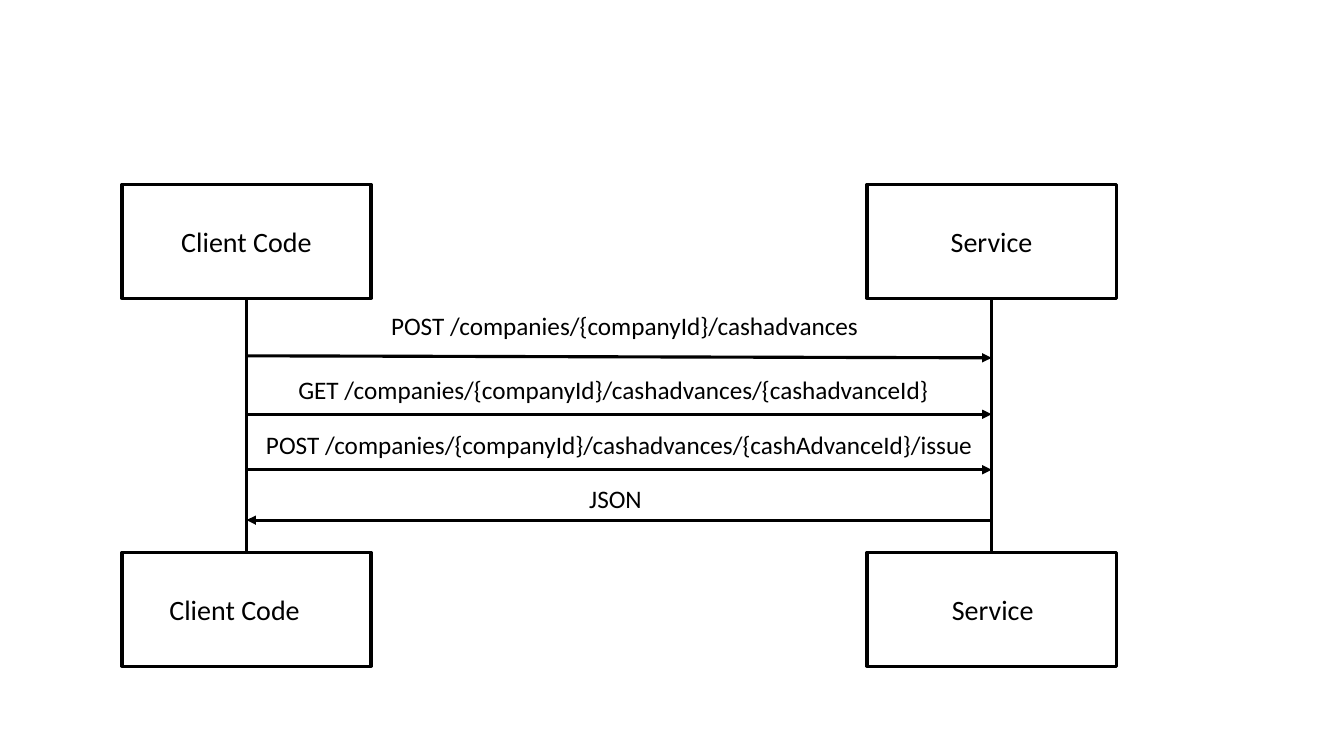
import pptx
import pptx.dml.color
import pptx.enum.shapes
import pptx.enum.text
import pptx.oxml
import pptx.util
from pptx.oxml.ns import qn

BLACK = pptx.dml.color.RGBColor(0, 0, 0)
WHITE = pptx.dml.color.RGBColor(255, 255, 255)
FONT = "Calibri"
LINE_WIDTH = 2.25
SLIDE_W, SLIDE_H = 13.33, 7.5
BOX_W, BOX_H = 2.47, 1.13
CLIENT_LEFT, SERVICE_LEFT = 1.21, 8.6
HEAD_TOP, FOOT_TOP = 1.83, 5.48
CLIENT_X, SERVICE_X = (left + BOX_W / 2 for left in (CLIENT_LEFT, SERVICE_LEFT))
LABEL_H = 0.4

CENTER = pptx.enum.text.PP_ALIGN.CENTER
LEFT = pptx.enum.text.PP_ALIGN.LEFT
MIDDLE = pptx.enum.text.MSO_ANCHOR.MIDDLE
TOP = pptx.enum.text.MSO_ANCHOR.TOP

PARTICIPANTS = [
    ("Client Code", CLIENT_LEFT, HEAD_TOP, CENTER, 0.1),
    ("Client Code", CLIENT_LEFT, FOOT_TOP, LEFT, 0.47),
    ("Service", SERVICE_LEFT, HEAD_TOP, CENTER, 0.1),
    ("Service", SERVICE_LEFT, FOOT_TOP, LEFT, 0.84),
]
CALLS = [
    ("POST /companies/{companyId}/cashadvances", 3.78, 3.03, 5.09, 3.53, 3.55),
    ("GET /companies/{companyId}/cashadvances/{cashadvanceId}", 2.86, 3.66, 6.49, 4.11, 4.11),
    ("POST /companies/{companyId}/cashadvances/{cashAdvanceId}/issue", 2.54, 4.21, 7.56, 4.66, 4.66),
]


def inches(*lengths):
    """Convert lengths to slide units."""
    return [pptx.util.Inches(length) for length in lengths]


def write(s, text, size=18, align=LEFT, anchor=TOP, inset=0.1):
    """Put formatted text into a shape."""
    tf = s.text_frame
    tf.word_wrap = True
    tf.vertical_anchor = anchor
    tf.margin_left = pptx.util.Inches(inset)
    p = tf.paragraphs[0]
    p.alignment = align
    r = p.add_run()
    r.text = text
    r.font.name = FONT
    r.font.size = pptx.util.Pt(size)
    r.font.color.rgb = BLACK


def stroke(s):
    """Give a shape or connector the diagram's line."""
    s.line.color.rgb = BLACK
    s.line.width = pptx.util.Pt(LINE_WIDTH)


def participant(slide, text, left, top, align, inset):
    """Draw one participant box."""
    kind = pptx.enum.shapes.MSO_SHAPE.RECTANGLE
    s = slide.shapes.add_shape(kind, *inches(left, top, BOX_W, BOX_H))
    s.shadow.inherit = False
    s.fill.solid()
    s.fill.fore_color.rgb = WHITE
    stroke(s)
    write(s, text, size=20, align=align, anchor=MIDDLE, inset=inset)


def connect(slide, x1, y1, x2, y2, arrow=False):
    """Draw a straight line, with an arrowhead at its end if asked."""
    kind = pptx.enum.shapes.MSO_CONNECTOR.STRAIGHT
    s = slide.shapes.add_connector(kind, *inches(x1, y1, x2, y2))
    stroke(s)
    if arrow:
        tail = pptx.oxml.parse_xml(
            '<a:tailEnd xmlns:a="http://schemas.openxmlformats.org/drawingml/2006/main" type="triangle"/>')
        s.line._get_or_add_ln().append(tail)
    sp = s._element.spPr
    sp.append(sp.makeelement(qn("a:effectLst"), {}))


def label(slide, text, left, top, width, align=LEFT):
    """Write the label of a message."""
    s = slide.shapes.add_textbox(*inches(left, top, width, LABEL_H))
    write(s, text, align=align)


def main():
    """Build the sequence diagram."""
    prs = pptx.Presentation()
    prs.slide_width, prs.slide_height = inches(SLIDE_W, SLIDE_H)
    slide = prs.slides.add_slide(prs.slide_layouts[6])
    for box in PARTICIPANTS:
        participant(slide, *box)
    for x in (CLIENT_X, SERVICE_X):
        connect(slide, x, HEAD_TOP + BOX_H, x, FOOT_TOP)
    for text, left, top, width, start, end in CALLS:
        connect(slide, CLIENT_X, start, SERVICE_X, end, arrow=True)
        label(slide, text, left, top, width)
    connect(slide, SERVICE_X, 5.16, CLIENT_X, 5.16, arrow=True)
    label(slide, "JSON", 5.57, 4.75, 1.07, align=CENTER)
    prs.save("out.pptx")


main()
